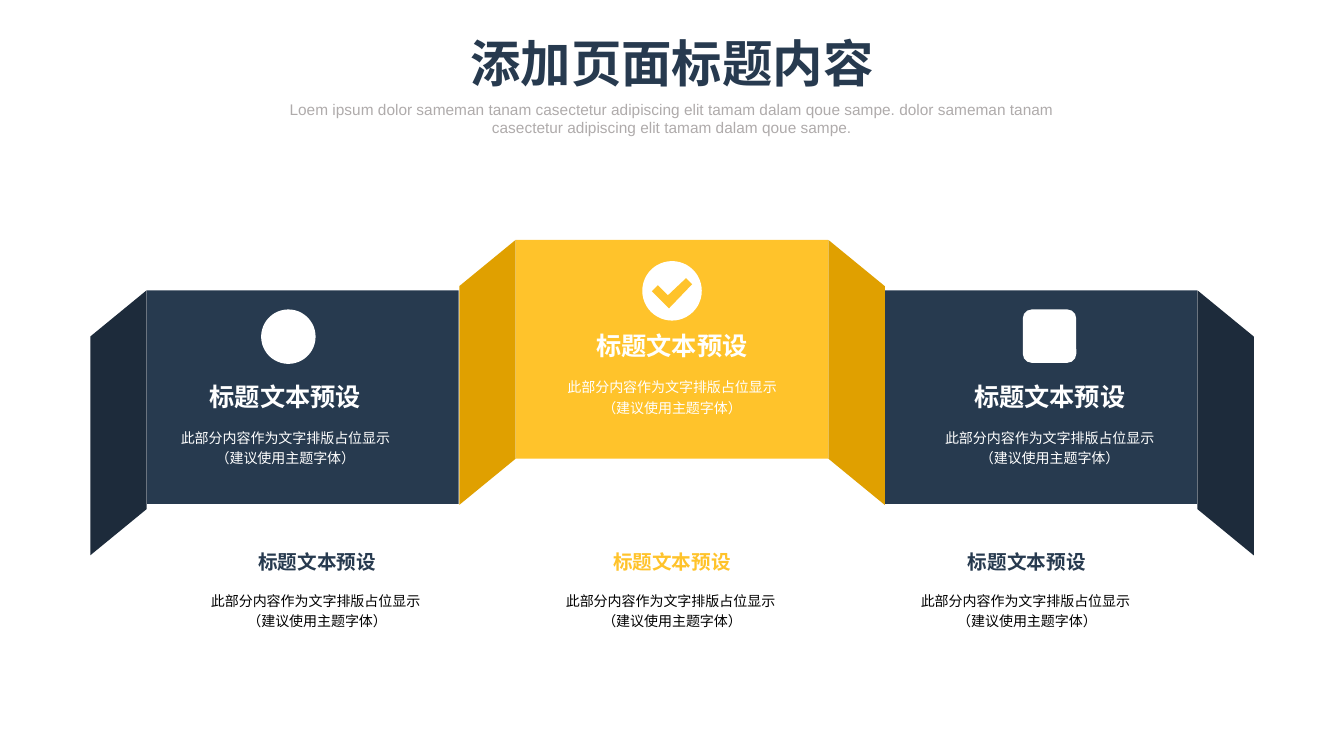
"""Build a slide with a folded three-panel banner and three captions below it."""
from pptx import Presentation
from pptx.dml.color import RGBColor
from pptx.enum.shapes import MSO_SHAPE
from pptx.enum.text import MSO_ANCHOR, PP_ALIGN
from pptx.util import Inches, Pt

RECTANGLE = MSO_SHAPE.RECTANGLE
PARALLELOGRAM = MSO_SHAPE.PARALLELOGRAM
OVAL = MSO_SHAPE.OVAL
ROUNDED = MSO_SHAPE.ROUNDED_RECTANGLE
TOP, MIDDLE = MSO_ANCHOR.TOP, MSO_ANCHOR.MIDDLE
CENTER = PP_ALIGN.CENTER

NAVY = RGBColor(0x27, 0x3A, 0x4F)
DARK_NAVY = RGBColor(0x1D, 0x2B, 0x3B)
YELLOW = RGBColor(0xFF, 0xC3, 0x2B)
DARK_YELLOW = RGBColor(0xE0, 0xA0, 0x00)
WHITE = RGBColor(0xFF, 0xFF, 0xFF)
BLACK = RGBColor(0, 0, 0)
GRAY = RGBColor(0xAF, 0xAB, 0xAB)

SLIDE_WIDTH, SLIDE_HEIGHT = 13.33, 7.5
MIDDLE_X = SLIDE_WIDTH / 2
PANEL_PITCH, PANEL_WIDTH = 3.66, 3.09
FOLD_LENGTH, FOLD_WIDTH = 2.63, 0.56
CAPTION_PITCH, CAPTION_WIDTH = 3.52, 2.42
LABEL_WIDTH = 2.21
HEADING = "标题文本预设"
BODY_LINES = ("此部分内容作为文字排版占位显示 ", "（建议使用主题字体）")

presentation = Presentation()
presentation.slide_width = Inches(SLIDE_WIDTH)
presentation.slide_height = Inches(SLIDE_HEIGHT)
slide = presentation.slides.add_slide(presentation.slide_layouts[6])


def add_block(kind, center_x, top, width, height, color):
    """Add a flat, borderless shape centred on a column."""
    shape = slide.shapes.add_shape(kind, Inches(center_x - width / 2), Inches(top),
                                   Inches(width), Inches(height))
    shape.shadow.inherit = False
    shape.fill.solid()
    shape.fill.fore_color.rgb = color
    shape.line.fill.background()
    return shape


def add_text(text, center_x, top, width, height, size, color, bold=False,
             wrap=True, spacing=None, anchor=MIDDLE, insets=(0, 0)):
    """Add a centred text box on a column."""
    box = slide.shapes.add_textbox(Inches(center_x - width / 2), Inches(top),
                                   Inches(width), Inches(height))
    horizontal, vertical = (Inches(inset) for inset in insets)
    frame_format = {"word_wrap": wrap, "vertical_anchor": anchor,
                    "margin_left": horizontal, "margin_right": horizontal,
                    "margin_top": vertical, "margin_bottom": vertical}
    for name, value in frame_format.items():
        setattr(box.text_frame, name, value)
    paragraph = box.text_frame.paragraphs[0]
    paragraph.text = text
    paragraph.alignment = CENTER
    paragraph.line_spacing = spacing
    font = paragraph.runs[0].font
    for run in paragraph.runs:
        font = run.font
        for name, value in {"name": "Arial", "size": Pt(size), "bold": bold}.items():
            setattr(font, name, value)
        font.color.rgb = color


header_format = {"anchor": TOP, "insets": (0.1, 0.05)}
add_text("添加页面标题内容", MIDDLE_X, 0.27, 4.24, 0.71, 36, NAVY,
         bold=True, wrap=False, **header_format)
add_text("Loem ipsum dolor sameman tanam casectetur adipiscing elit tamam dalam "
         "qoue sampe. dolor sameman tanam casectetur adipiscing elit tamam dalam "
         "qoue sampe.", MIDDLE_X, 0.94, 8.33, 0.66, 11, GRAY, **header_format)

panels = [
    (0, 2.38, 2.17, YELLOW, DARK_YELLOW, (-1, 1), MIDDLE_X, MIDDLE_X, OVAL, 0.59, 0.21),
    (1, 2.88, 2.12, NAVY, DARK_NAVY, (1,), 10.41, 10.41, ROUNDED, 0.53, 0.19),
    (-1, 2.88, 2.12, NAVY, DARK_NAVY, (-1,), 2.83, 2.86, OVAL, 0.54, 0.19),
]
for (column, top, height, color, fold_color, sides, label_x, icon_x,
     icon_kind, icon_size, icon_drop) in panels:
    panel_x = MIDDLE_X + column * PANEL_PITCH
    add_block(RECTANGLE, panel_x, top, PANEL_WIDTH, height, color)
    for side in sides:
        fold = add_block(PARALLELOGRAM, panel_x + side * PANEL_PITCH / 2,
                         top + (FOLD_LENGTH - FOLD_WIDTH) / 2,
                         FOLD_LENGTH, FOLD_WIDTH, fold_color)
        fold.adjustments[0] = 0.82
        fold.rotation = side * 90 % 360
        if side < 0:
            fold.element.spPr.get_or_add_xfrm().set("flipV", "1")
    add_block(icon_kind, icon_x, top + icon_drop, icon_size, icon_size, WHITE)
    add_text("".join(BODY_LINES), label_x, top + 1.2, LABEL_WIDTH, 0.69, 10, WHITE,
             spacing=1.2)
    add_text(HEADING, label_x, top + 0.87, LABEL_WIDTH, 0.36, 18, WHITE,
             bold=True, wrap=False)

check_points = [(-0.2, 0), (-0.14, -0.06), (-0.04, 0.04),
                (0.14, -0.13), (0.2, -0.07), (-0.03, 0.17)]
check_outline = [(Inches(MIDDLE_X + x), Inches(2.89 + y)) for x, y in check_points]
builder = slide.shapes.build_freeform(*check_outline[0])
builder.add_line_segments(check_outline[1:], close=True)
check_mark = builder.convert_to_shape()
check_mark.shadow.inherit = False
check_mark.fill.solid()
check_mark.fill.fore_color.rgb = YELLOW
check_mark.line.fill.background()

for column, color in zip((-1, 0, 1), (NAVY, YELLOW, NAVY)):
    caption_x = MIDDLE_X + column * CAPTION_PITCH
    add_text(HEADING, caption_x, 5.42, CAPTION_WIDTH, 0.31, 14, color,
             bold=True, wrap=False)
    add_text("\n".join(BODY_LINES), caption_x, 5.73, CAPTION_WIDTH, 0.63, 10, BLACK,
             spacing=1.2)

presentation.save("out.pptx")
